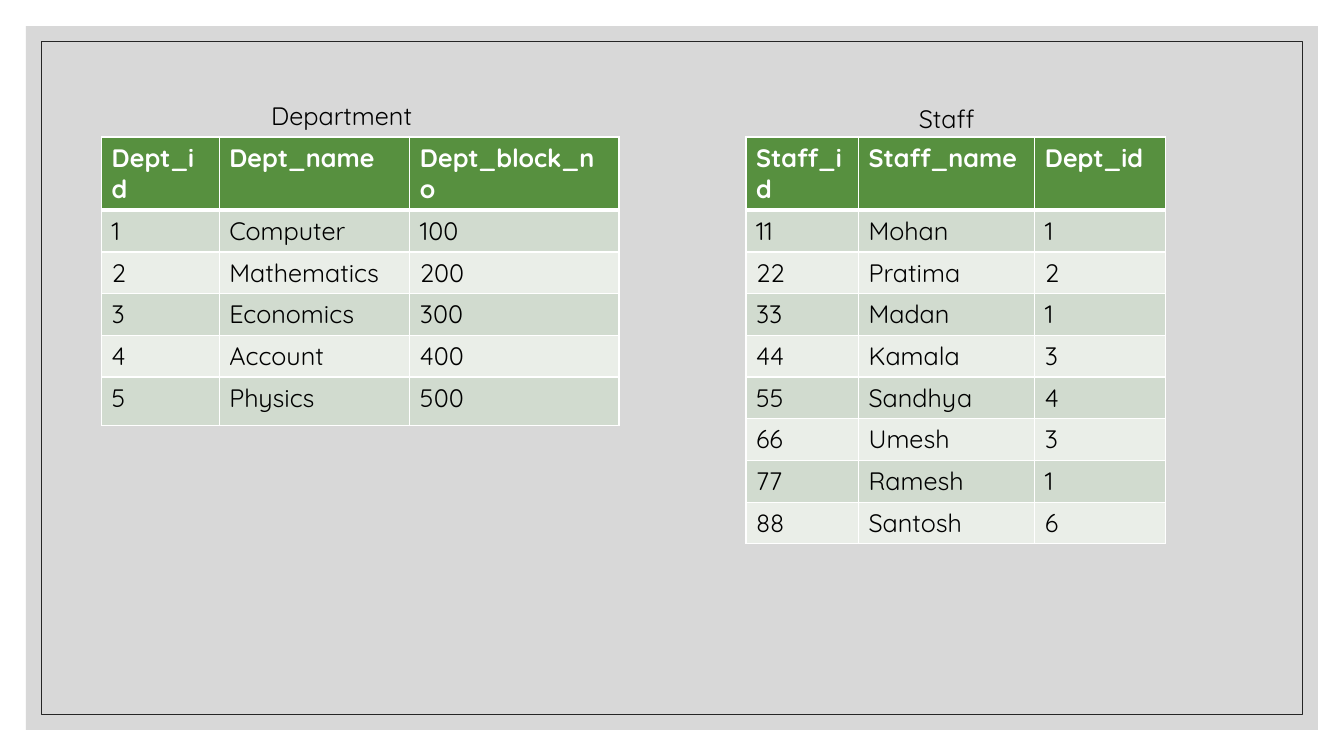
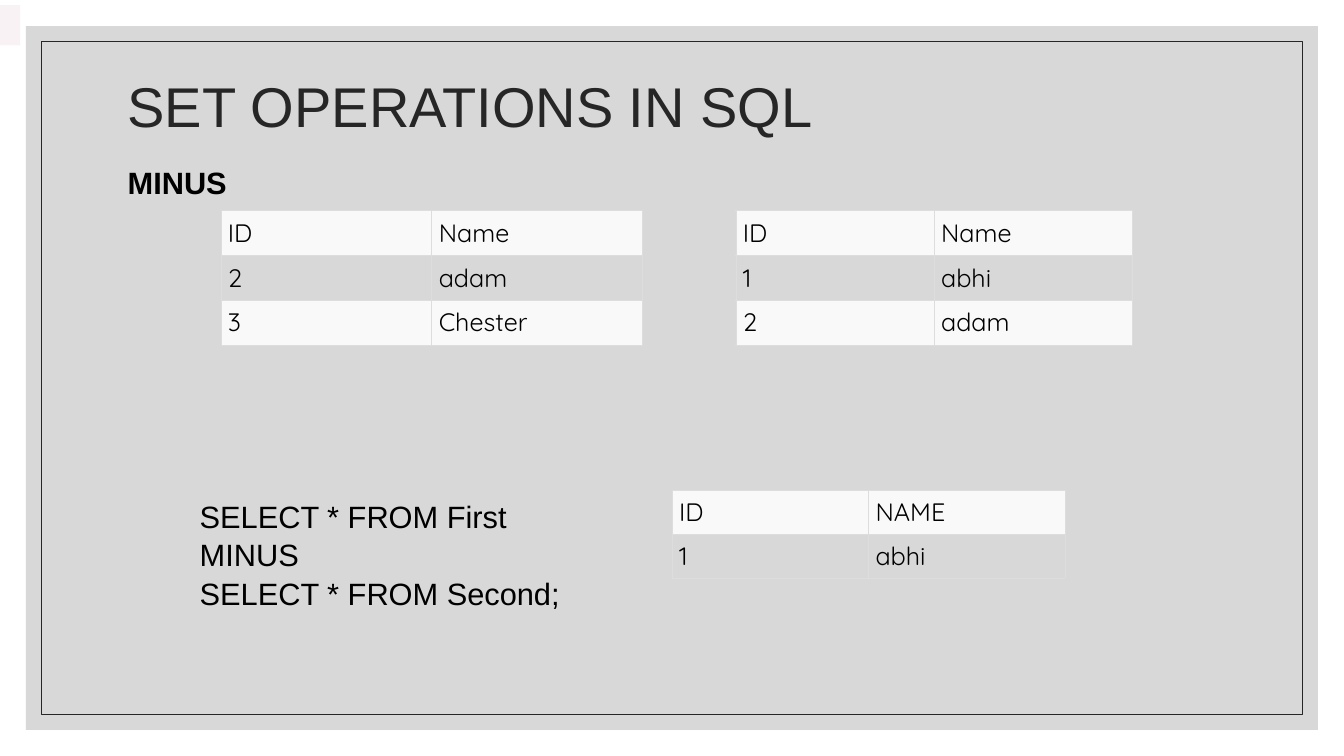
from lxml.etree import SubElement
from pptx import Presentation
from pptx.dml.color import RGBColor as RGB
from pptx.enum.shapes import MSO_SHAPE as Shape
from pptx.enum.text import MSO_ANCHOR as Anchor, MSO_AUTO_SIZE as Fit, PP_ALIGN as Align
from pptx.oxml.ns import qn
from pptx.util import Inches, Pt

COLS, ROWS = 160, 90
CELL = Inches(13.333) / COLS
INK = {
    "panel": "BFBFBF", "dark": "262626", "text": "000000", "white": "FFFFFF",
    "head": "57903F", "odd": "D1DBCF", "even": "EAEEE8",
    "rule": "DDDDDD", "pale": "F9F9F9", "tag": "F9F2F4",
}
PLAIN, HEAVY = "Arial", "Quicksand"
LINE = 4.95

DEPTS = [
    ("Dept_id", "Dept_name", "Dept_block_no"),
    ("1", "Computer", "100"),
    ("2", "Mathematics", "200"),
    ("3", "Economics", "300"),
    ("4", "Account", "400"),
    ("5", "Physics", "500"),
]
STAFF = [
    ("Staff_id", "Staff_name", "Dept_id"),
    ("11", "Mohan", "1"),
    ("22", "Pratima", "2"),
    ("33", "Madan", "1"),
    ("44", "Kamala", "3"),
    ("55", "Sandhya", "4"),
    ("66", "Umesh", "3"),
    ("77", "Ramesh", "1"),
    ("88", "Santosh", "6"),
]
FIRST = [("ID", "Name"), ("1", "abhi"), ("2", "adam")]
SECOND = [("ID", "Name"), ("2", "adam"), ("3", "Chester")]
RESULT = [("ID", "NAME"), ("1", "abhi")]


def grid(*units):
    """Turn grid units into slide lengths."""
    return [round(unit * CELL) for unit in units]


def color(name):
    return RGB.from_string(INK[name])


def style(frame, font, size, ink="text", bold=False):
    for para in frame.paragraphs:
        for run in para.runs:
            run.font.name, run.font.size = font, Pt(size)
            run.font.bold = bold
            run.font.color.rgb = color(ink)


def box(slide, place, fill=None, line=None):
    shape = slide.shapes.add_shape(Shape.RECTANGLE, *grid(*place))
    shape.shadow.inherit = False
    if fill:
        shape.fill.solid()
        shape.fill.fore_color.rgb = color(fill)
    else:
        shape.fill.background()
    if line:
        shape.line.color.rgb = color(line)
        shape.line.width = Pt(0.5)
    else:
        shape.line.fill.background()
    return shape


def backdrop(master, slide):
    """Draw the panel and its inner rule, then move both to the master."""
    first = master.placeholders[0].element
    for num, (gap, fill, line) in enumerate([(3.1, "panel", None), (4.9, None, "dark")]):
        shape = box(slide, (gap, gap, COLS - 2 * gap, ROWS - 2 * gap), fill, line)
        if fill:
            tint = shape.element.spPr.find(f"{qn('a:solidFill')}/{qn('a:srgbClr')}")
            SubElement(tint, qn("a:alpha"), val="60000")
        shape.element.find(f".//{qn('p:cNvPr')}").set("id", str(100 + num))
        first.addprevious(shape.element)


def label(slide, text, place, font, size, wrap=True, space=None):
    frame = slide.shapes.add_textbox(*grid(*place)).text_frame
    frame.word_wrap = wrap
    frame.text = text
    for para in frame.paragraphs:
        para.line_spacing = space
    style(frame, font, size)


def border(cell, ink, width, **heavy):
    """Rule all four sides; heavy gives other widths by side."""
    props = cell._tc.get_or_add_tcPr()
    for side in "LRTB":
        points = heavy.get(side, width)
        edge = SubElement(props, qn(f"a:ln{side}"), w=str(Pt(points)))
        fill = SubElement(edge, qn("a:solidFill"))
        SubElement(fill, qn("a:srgbClr"), val=INK[ink])


def table(slide, data, left, top, widths, heights):
    """Place an empty table and yield the row number, cell and text of each entry."""
    size = sum(widths), sum(heights)
    sheet = slide.shapes.add_table(
        len(data), len(widths), *grid(left, top, *size)).table
    sheet.horz_banding = False
    for col, width in zip(sheet.columns, grid(*widths)):
        col.width = width
    for num, (row, height) in enumerate(zip(sheet.rows, grid(*heights))):
        row.height = height
        for cell, text in zip(row.cells, data[num]):
            cell.text = text
            yield num, cell


def paint(cell, fill):
    if fill:
        cell.fill.solid()
        cell.fill.fore_color.rgb = color(fill)
    else:
        cell.fill.background()


def banded(slide, data, left, widths, last=LINE):
    """Green table with a bold head and striped rows."""
    heights = [LINE] * (len(data) - 1) + [last]
    for num, cell in table(slide, data, left, 16.3, widths, heights):
        head = num == 0
        thick = {0: {"B": 3}, 1: {"T": 3}}.get(num, {})
        border(cell, "white", 1, **thick)
        paint(cell, "head" if head else "odd" if num % 2 else "even")
        style(cell.text_frame, HEAVY, 18, "white" if head else "text", head)


def light(slide, data, left, top, width, height):
    """Pale table with two equal columns."""
    for num, cell in table(slide, data, left, top, [width] * 2, [height] * len(data)):
        cell.margin_left = cell.margin_right = Inches(0.07)
        cell.margin_top = cell.margin_bottom = Inches(0.06)
        border(cell, "rule", 0.6)
        paint(cell, None if num % 2 else "pale")
        style(cell.text_frame, HEAVY, 18)


def fill(holder, text, place, size, ink="text", bold=False):
    """Set a placeholder's place and text, and return its paragraph."""
    holder.left, holder.top, holder.width, holder.height = grid(*place)
    frame = holder.text_frame
    frame.text = text
    frame.auto_size = Fit.NONE
    style(frame, PLAIN, size, ink, bold)
    para = frame.paragraphs[0]
    para.alignment = Align.LEFT
    return para


def tables(slide):
    banded(slide, DEPTS, 12.1, [14, 22.7, 24.9], 5.8)
    banded(slide, STAFF, 88.8, [13.4, 21, 15.6])
    label(slide, "Department", (31.1, 11.4, 20.6, 4.8), HEAVY, 18)
    label(slide, "Staff", (108.2, 11.7, 9.8, 4.8), HEAVY, 18)


def minus(slide):
    title, body = slide.placeholders
    para = fill(title, "SET OPERATIONS IN SQL", (14, 8.4, 132, 9.2), 40, "dark")
    para.line_spacing = 0.9
    title.text_frame.vertical_anchor = Anchor.MIDDLE
    para = fill(body, "MINUS", (14, 18.5, 132, 59.6), 22, bold=True)
    para.line_spacing, para.space_before = 1.1, Pt(9)
    props = para._p.get_or_add_pPr()
    props.set("marL", "0")
    props.set("indent", "0")
    SubElement(props, qn("a:buNone"))

    box(slide, (0, 0.6, 2.4, 4.8), "tag")
    light(slide, FIRST, 87.6, 25.1, 23.6, 5.35)
    light(slide, SECOND, 26.3, 25.1, 25.1, 5.35)
    query = "SELECT * FROM First\nMINUS\nSELECT * FROM Second;"
    label(slide, query, (22.6, 58.4, 46.8, 19), PLAIN, 22, wrap=False, space=1.05)
    light(slide, RESULT, 80, 58.4, 23.4, 5.2)


def main():
    deck = Presentation()
    deck.slide_width, deck.slide_height = grid(COLS, ROWS)
    blank, listed = deck.slide_layouts[6], deck.slide_layouts[1]
    slide = deck.slides.add_slide(blank)
    backdrop(deck.slide_master, slide)
    tables(slide)
    minus(deck.slides.add_slide(listed))
    deck.save("out.pptx")


if __name__ == "__main__":
    main()
